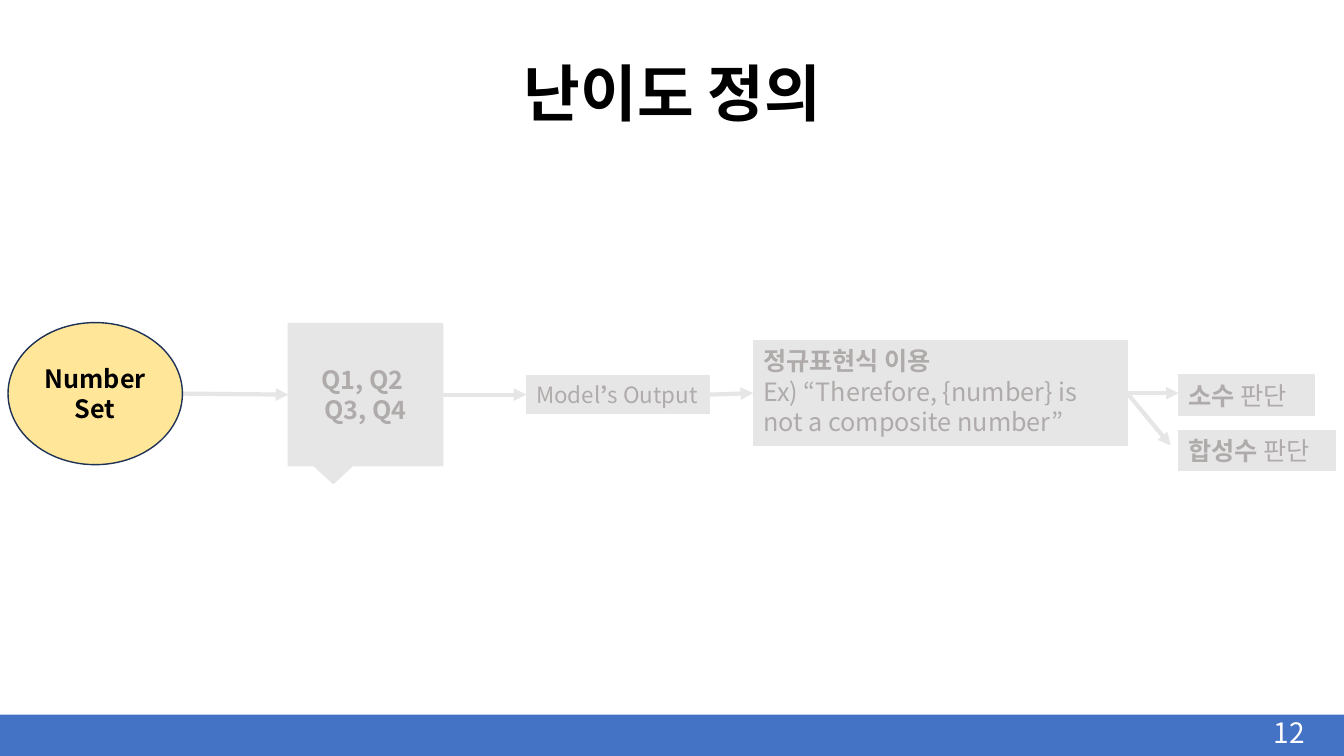
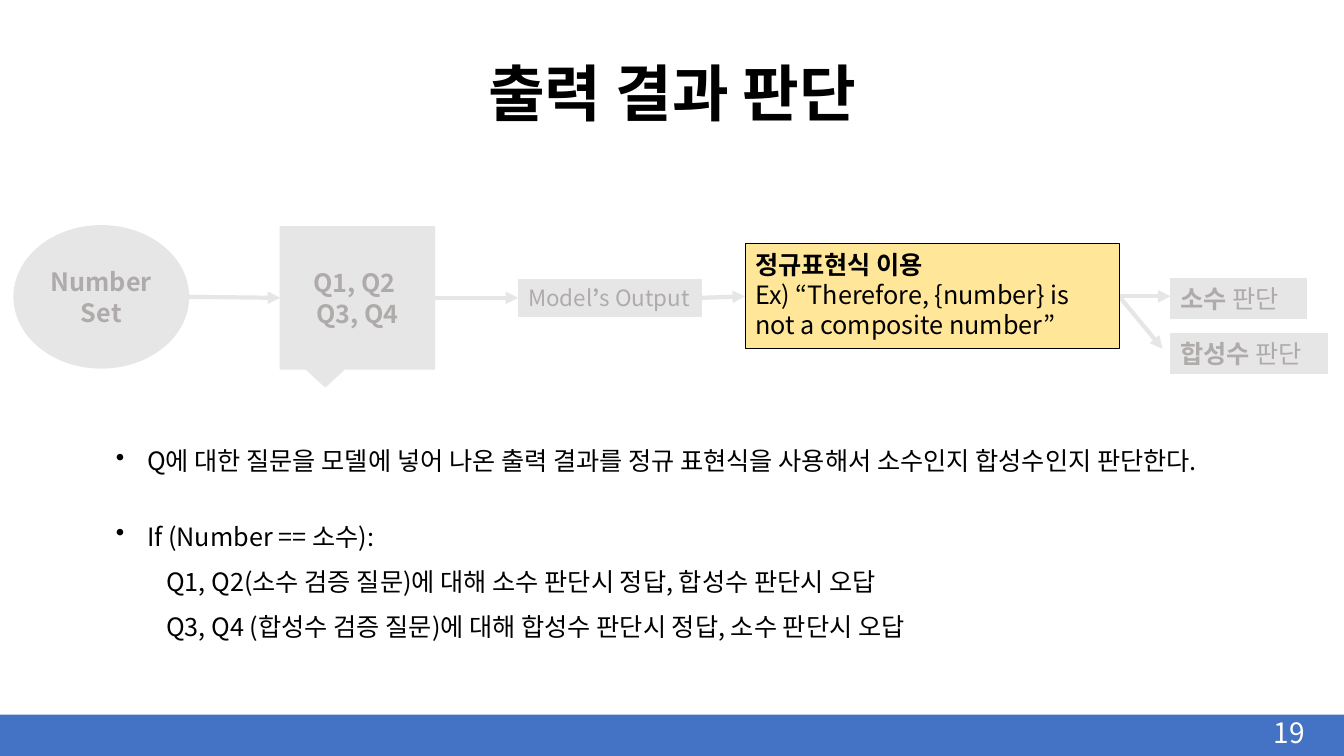
from dataclasses import dataclass

from lxml.etree import SubElement
from pptx import Presentation
from pptx.dml.color import RGBColor
from pptx.enum.shapes import MSO_CONNECTOR as Connector, MSO_SHAPE as Shape
from pptx.enum.text import MSO_ANCHOR as Anchor, PP_ALIGN as Align
from pptx.oxml import parse_xml
from pptx.oxml.ns import nsdecls, qn
from pptx.util import Inches, Pt


@dataclass(frozen=True)
class Theme:
    font: str = "Noto Sans CJK KR"
    ink: str = "000000"
    white: str = "FFFFFF"
    band: str = "4472C4"
    muted_fill: str = "E7E6E6"
    muted_text: str = "AFABAB"
    active_fill: str = "FFE699"
    navy: str = "1E3256"
    title_size: int = 44
    number_size: int = 20
    body_size: int = 18
    small_size: int = 16
    arrow_width: int = 3


THEME = Theme()
SLIDE_WIDTH, SLIDE_HEIGHT = 13.33, 7.5
BAND_HEIGHT = 0.41


# --- Shared helpers -------------------------------------------------------
def rgb(value):
    return RGBColor.from_string(value)


def write_paragraph(frame, index, runs, size, color, bold=None, align=Align.LEFT):
    """Write one paragraph; runs is a list of (text, bold or None)."""
    paragraph = frame.add_paragraph() if index else frame.paragraphs[0]
    paragraph.alignment = align
    font = paragraph.font
    font.size, font.bold, font.name = Pt(size), bold, THEME.font
    font.color.rgb = rgb(color)
    properties = paragraph._p.get_or_add_pPr().get_or_add_defRPr()
    SubElement(properties, qn("a:ea"), typeface=THEME.font)
    for text, run_bold in runs:
        run = paragraph.add_run()
        run.text = text
        run.font.bold = run_bold
    return paragraph


def add_text(slide, box, anchor=Anchor.TOP):
    frame = slide.shapes.add_textbox(*map(Inches, box)).text_frame
    frame.word_wrap = True
    frame.vertical_anchor = anchor
    return frame


def add_box(slide, kind, box, fill, line=None, line_width=0.75):
    shape = slide.shapes.add_shape(kind, *map(Inches, box))
    shape.shadow.inherit = False
    shape.fill.solid()
    shape.fill.fore_color.rgb = rgb(fill)
    if line:
        shape.line.color.rgb = rgb(line)
        shape.line.width = Pt(line_width)
    else:
        shape.line.fill.background()
    return shape


def add_arrow(slide, start, end):
    arrow = slide.shapes.add_connector(
        Connector.STRAIGHT, *map(Inches, (*start, *end)))
    arrow.line.color.rgb = rgb(THEME.muted_fill)
    arrow.line.width = Pt(THEME.arrow_width)
    SubElement(arrow.line._get_or_add_ln(), qn("a:tailEnd"), type="triangle")
    SubElement(arrow._element.spPr, qn("a:effectLst"))


# --- Slide frame: title, band and page number -----------------------------
def add_frame(presentation, title, number):
    slide = presentation.slides.add_slide(presentation.slide_layouts[6])
    frame = add_text(slide, (1.67, 0.3, 10, 1.04), Anchor.BOTTOM)
    paragraph = write_paragraph(frame, 0, [(title, None)], THEME.title_size,
                                THEME.ink, True, Align.CENTER)
    paragraph.line_spacing = 0.9

    band_top = SLIDE_HEIGHT - BAND_HEIGHT
    add_box(slide, Shape.RECTANGLE, (0, band_top, SLIDE_WIDTH, BAND_HEIGHT),
            THEME.band)
    frame = add_text(slide, (12.36, band_top, 0.68, 0.35), Anchor.MIDDLE)
    write_paragraph(frame, 0, [(str(number), None)], THEME.number_size,
                    THEME.white, align=Align.RIGHT)
    return slide


# --- Pipeline -------------------------------------------------------------
# name: (kind, box relative to the pipeline, text size, paragraphs of runs)
STAGES = {
    "numbers": (Shape.OVAL, (0, 0, 1.73, 1.41), THEME.body_size,
                [[("Number", True)], [("Set", True)]]),
    "questions": (Shape.RECTANGULAR_CALLOUT, (2.78, 0.01, 1.53, 1.41),
                  THEME.body_size, [[("Q1, Q2 ", True)], [("Q3, Q4", True)]]),
    "output": (Shape.RECTANGLE, (5.14, 0.53, 1.82, 0.37), THEME.small_size,
               [[("Model", False), ("’", True), ("s Output", False)]]),
    "regex": (Shape.RECTANGLE, (7.39, 0.18, 3.71, 1.04), THEME.body_size,
              [[("정규표현식 이용", True)],
               [("Ex) “Therefore, {number} is not a composite number”", False)]]),
    "prime": (Shape.RECTANGLE, (11.61, 0.52, 1.35, 0.4), THEME.body_size,
              [[("소수", True), (" 판단", False)]]),
    "composite": (Shape.RECTANGLE, (11.61, 1.07, 1.56, 0.4), THEME.body_size,
                  [[("합성수", True), (" 판단", False)]]),
}


def add_stage(slide, name, box, active, active_line):
    kind, _, size, paragraphs = STAGES[name]
    fill = THEME.active_fill if active else THEME.muted_fill
    line = active_line if active else THEME.muted_fill
    color = THEME.ink if active else THEME.muted_text
    plain = kind == Shape.RECTANGLE
    shape = add_box(slide, kind, box, fill, line, 0.75 if plain else 1)
    frame = shape.text_frame
    frame.word_wrap = True
    frame.vertical_anchor = Anchor.TOP if plain else Anchor.MIDDLE
    if len(paragraphs) == 1:
        frame.margin_right = 0  # keeps short labels on one line
    for index, runs in enumerate(paragraphs):
        write_paragraph(frame, index, runs, size, color,
                        align=Align.LEFT if plain else Align.CENTER)


def add_pipeline(slide, left, top, active, active_line, numbers_shift=0):
    boxes = {}
    for name, (_, (x, y, width, height), *_) in STAGES.items():
        shift = numbers_shift if name == "numbers" else 0
        boxes[name] = (left + x + shift, top + y, width, height)

    def left_middle(name):
        x, y, _, height = boxes[name]
        return x, y + height / 2

    def right_middle(name):
        x, y, width, height = boxes[name]
        return x + width, y + height / 2

    # Arrows along the chain, then the fork to both verdicts
    chain = ("numbers", "questions", "output", "regex")
    for source, target in zip(chain, chain[1:]):
        add_arrow(slide, right_middle(source), left_middle(target))
    fork_x, fork_y = right_middle("regex")
    add_arrow(slide, (fork_x, fork_y), (left_middle("prime")[0], fork_y))
    add_arrow(slide, (fork_x, fork_y), (fork_x + 0.43, fork_y + 0.52))

    for name, box in boxes.items():
        add_stage(slide, name, box, name == active, active_line)


# --- Bulleted explanation -------------------------------------------------
def add_explanation(slide, box, lines):
    """Lines are (text, is bullet, line spacing, points before)."""
    frame = add_text(slide, box)
    for index, (text, bullet, spacing, before) in enumerate(lines):
        paragraph = write_paragraph(frame, index, [(text, None)],
                                    THEME.body_size, THEME.ink)
        paragraph.line_spacing = spacing
        paragraph.space_before = Pt(before)
        paragraph.level = 0 if bullet else 1
        properties = paragraph._p.get_or_add_pPr()
        properties.set("marL", str(Inches(0.31 if bullet else 0.5)))
        properties.set("indent", str(Inches(-0.31 if bullet else 0)))
        if bullet:
            mark = parse_xml(f'<a:buChar {nsdecls("a")} char="•"/>')
            properties.get_or_add_defRPr().addprevious(mark)


# --- Slides ---------------------------------------------------------------
def build_difficulty_slide(presentation):
    slide = add_frame(presentation, "난이도 정의", 12)
    add_pipeline(slide, 0.08, 3.2, "numbers", THEME.navy)


def build_verdict_slide(presentation):
    slide = add_frame(presentation, "출력 결과 판단", 19)
    add_pipeline(slide, 0, 2.24, "regex", THEME.ink, numbers_shift=0.14)
    add_explanation(slide, (1.05, 4.37, 11.32, 2.31), [
        ("Q에 대한 질문을 모델에 넣어 나온 출력 결과를 정규 표현식을 사용해서 "
         "소수인지 합성수인지 판단한다.", True, 1.0, 0),
        ("If (Number == 소수):", True, 1.5, 21.5),
        ("Q1, Q2(소수 검증 질문)에 대해 소수 판단시 정답, 합성수 판단시 오답",
         False, 1.5, 0),
        ("Q3, Q4 (합성수 검증 질문)에 대해 합성수 판단시 정답, 소수 판단시 오답",
         False, 1.5, 0),
    ])


def main():
    presentation = Presentation()
    presentation.slide_width = Inches(SLIDE_WIDTH)
    presentation.slide_height = Inches(SLIDE_HEIGHT)
    build_difficulty_slide(presentation)
    build_verdict_slide(presentation)
    presentation.save("out.pptx")


if __name__ == "__main__":
    main()
